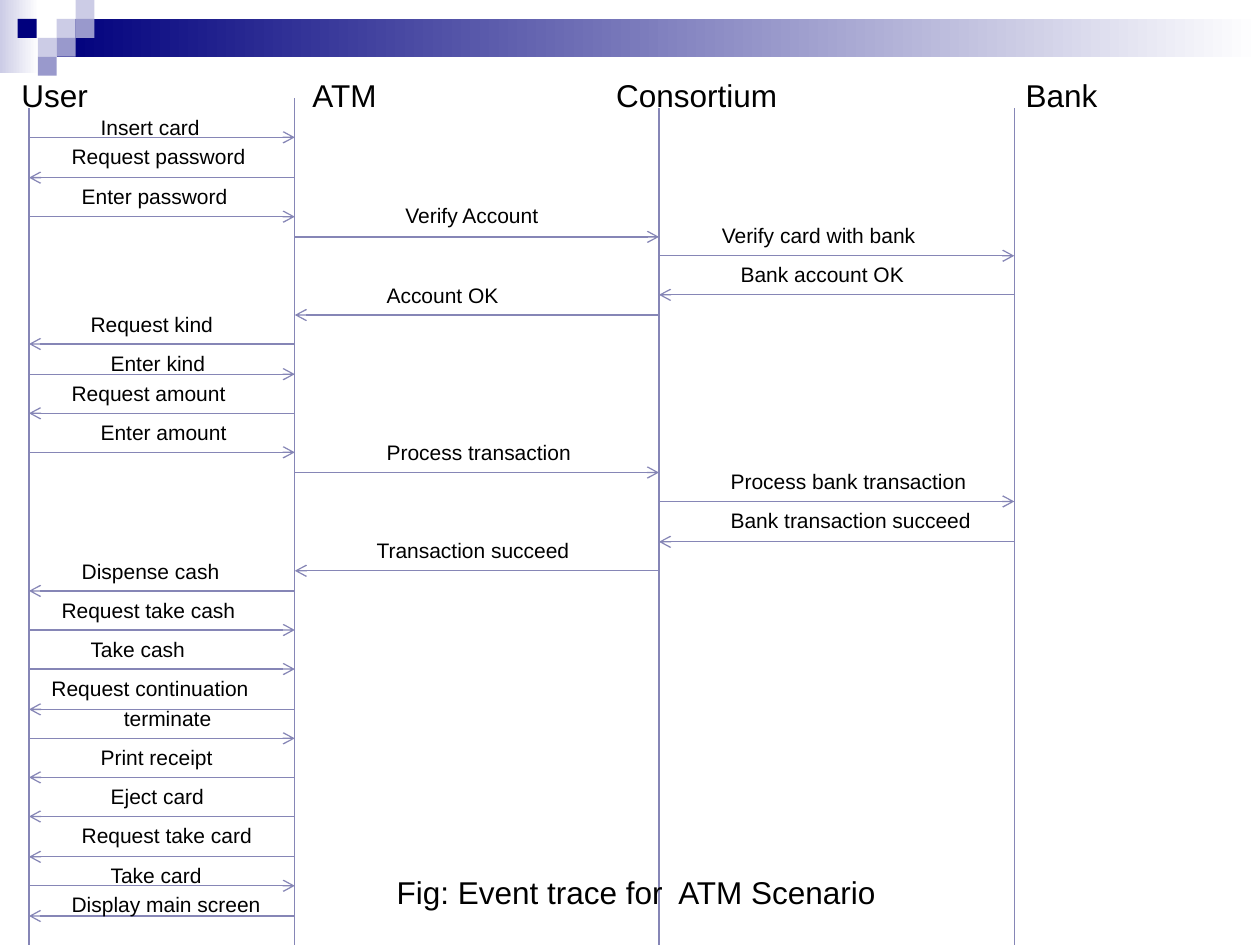
from lxml import etree
from pptx import Presentation
from pptx.dml.color import RGBColor
from pptx.enum.shapes import MSO_CONNECTOR as Connector, MSO_SHAPE as Shape
from pptx.enum.text import MSO_ANCHOR as Anchor, PP_ALIGN as Align
from pptx.oxml.ns import qn
from pptx.util import Inches, Pt

NAVY = RGBColor(0x00, 0x00, 0x7D)
LILAC = RGBColor(0xCC, 0xCC, 0xE6)
VIOLET = RGBColor(0x99, 0x99, 0xCC)
LINE = RGBColor(0x86, 0x86, 0xB6)
WHITE = RGBColor(0xFF, 0xFF, 0xFF)
BLACK = RGBColor(0x00, 0x00, 0x00)

presentation = Presentation()
presentation.slide_width = Inches(10)
presentation.slide_height = Inches(7.5)
# The comparison layout has four body placeholders, one for each participant
slide = presentation.slides.add_slide(presentation.slide_layouts[4])
title = slide.shapes.title
title.element.getparent().remove(title.element)


def add_line(x1, y1, x2, y2, arrow=False):
    line = slide.shapes.add_connector(
        Connector.STRAIGHT, Inches(x1), Inches(y1), Inches(x2), Inches(y2))
    line.line.color.rgb = LINE
    line.line.width = Pt(0.75)
    if arrow:
        etree.SubElement(line.line._get_or_add_ln(), qn("a:tailEnd"), type="arrow")
    etree.SubElement(line.element.spPr, qn("a:effectLst"))


def add_label(text, left, top, width, height, size, align=Align.LEFT):
    box = slide.shapes.add_textbox(
        Inches(left), Inches(top), Inches(width), Inches(height))
    frame = box.text_frame
    frame.word_wrap = True
    if align == Align.LEFT:
        frame.margin_right = 0
    frame.text = text
    paragraph = frame.paragraphs[0]
    paragraph.alignment = align
    paragraph.font.size = Pt(size)
    paragraph.font.name = "Arial"
    paragraph.font.color.rgb = BLACK


# Banner: two gradient bars, then the checker squares
banner = [
    (0, 0, 0.31, 0.58, LILAC, True),
    (0.45, 0.15, 9.55, 0.3, NAVY, True),
]
squares = [
    (0.45, 0.15, LILAC), (0.6, 0, LILAC), (0.6, 0.15, VIOLET), (0.3, 0.3, LILAC),
    (0.14, 0.15, NAVY), (0.45, 0.3, VIOLET), (0.3, 0.45, VIOLET),
]
banner += [(left, top, 0.15, 0.15, color, False) for left, top, color in squares]
for left, top, width, height, color, fades in banner:
    shape = slide.shapes.add_shape(
        Shape.RECTANGLE, Inches(left), Inches(top), Inches(width), Inches(height))
    shape.shadow.inherit = False
    shape.line.fill.background()
    if fades:
        shape.fill.gradient()
        shape.fill.gradient_angle = 0
        for stop, stop_color in zip(shape.fill.gradient_stops, (color, WHITE)):
            stop.color.rgb = stop_color
    else:
        shape.fill.solid()
        shape.fill.fore_color.rgb = color

# Participants: name, name left, lifeline position, lifeline top
USER, ATM, CONSORTIUM, BANK = 0.23, 2.34, 5.23, 8.05
participants = [
    ("User", 0.07, USER, 0.86),
    ("ATM", 2.38, ATM, 0.78),
    ("Consortium", 4.79, CONSORTIUM, 0.86),
    ("Bank", 8.04, BANK, 0.86),
]
for index, (name, left, x, top) in enumerate(participants, start=1):
    body = slide.placeholders[index]
    body.left, body.top = Inches(left), Inches(0.55)
    body.width, body.height = Inches(1.6), Inches(0.4)
    frame = body.text_frame
    frame.vertical_anchor = Anchor.TOP
    frame.text = name
    paragraph = frame.paragraphs[0]
    paragraph.space_before = Pt(0)
    properties = paragraph._p.get_or_add_pPr()
    properties.set("marL", "0")
    properties.set("indent", "0")
    etree.SubElement(properties, qn("a:buNone"))
    paragraph.font.size = Pt(18)
    paragraph.font.bold = False
    paragraph.font.name = "Arial"
    paragraph.font.color.rgb = BLACK
    add_line(x, top, x, 7.5)

# Text, sender, receiver, arrow height, label left, label top, label width
messages = [
    ("Insert card", USER, ATM, 1.09, 0.7, 0.86, 1.02),
    ("Request password", ATM, USER, 1.41, 0.47, 1.09, 1.72),
    ("Enter password", USER, ATM, 1.72, 0.55, 1.41, 1.56),
    ("Verify Account", ATM, CONSORTIUM, 1.88, 2.73, 1.56, 2.03),
    ("Verify card with bank", CONSORTIUM, BANK, 2.03, 5.63, 1.72, 1.95),
    ("Bank account OK", BANK, CONSORTIUM, 2.34, 5.78, 2.03, 1.56),
    ("Account OK", CONSORTIUM, ATM, 2.5, 2.97, 2.19, 1.64),
    ("Request kind", ATM, USER, 2.73, 0.62, 2.42, 1.41),
    ("Enter kind", USER, ATM, 2.97, 0.78, 2.73, 0.96),
    ("Request amount", ATM, USER, 3.28, 0.47, 2.97, 1.8),
    ("Enter amount", USER, ATM, 3.59, 0.7, 3.28, 1.33),
    ("Process transaction", ATM, CONSORTIUM, 3.75, 2.97, 3.44, 1.68),
    ("Process bank transaction", CONSORTIUM, BANK, 3.98, 5.7, 3.67, 2.09),
    ("Bank transaction succeed", BANK, CONSORTIUM, 4.3, 5.7, 3.98, 2.12),
    ("Transaction succeed", CONSORTIUM, ATM, 4.53, 2.89, 4.22, 1.74),
    ("Dispense cash", ATM, USER, 4.69, 0.55, 4.38, 1.48),
    ("Request take cash", USER, ATM, 5, 0.39, 4.69, 1.95),
    ("Take cash", USER, ATM, 5.31, 0.62, 5, 1.48),
    ("Request continuation", ATM, USER, 5.63, 0.31, 5.31, 1.95),
    ("terminate", USER, ATM, 5.86, 0.47, 5.55, 1.72),
    ("Print receipt", ATM, USER, 6.17, 0.7, 5.86, 1.1),
    ("Eject card", ATM, USER, 6.48, 0.78, 6.17, 0.95),
    ("Request take card", ATM, USER, 6.8, 0.55, 6.48, 1.56),
    ("Take card", USER, ATM, 7.03, 0.78, 6.8, 0.93),
    ("Display main screen", ATM, USER, 7.27, 0.47, 7.03, 1.71),
]
centred = ("Verify Account", "terminate")
for text, sender, receiver, y, left, top, width in messages:
    add_line(sender, y, receiver, y, arrow=True)
    align = Align.CENTER if text in centred else Align.LEFT
    add_label(text, left, top, width, 0.3, 12, align)

add_label("Fig: Event trace for  ATM Scenario", 3.05, 6.88, 5.55, 0.4, 18)

presentation.save("out.pptx")
